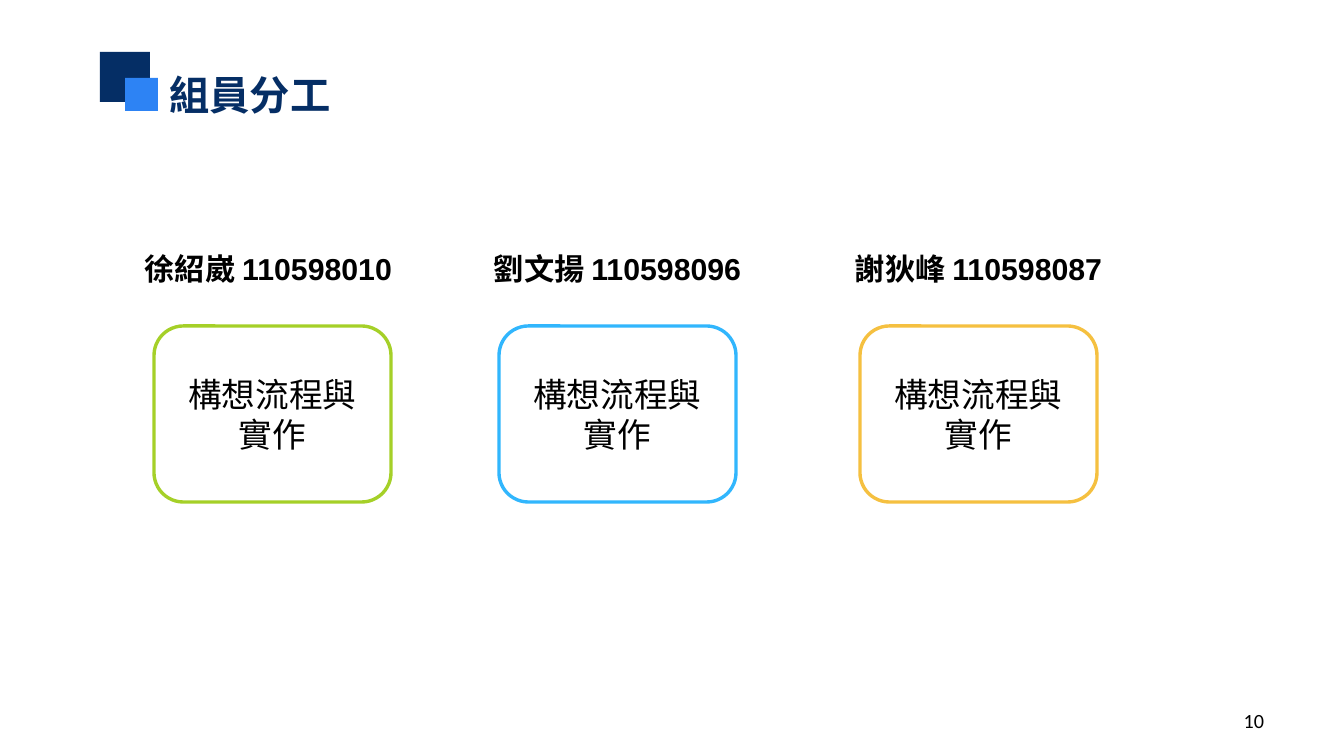
from lxml import etree
from pptx import Presentation
from pptx.dml.color import RGBColor
from pptx.enum.shapes import MSO_SHAPE
from pptx.enum.text import MSO_ANCHOR, MSO_AUTO_SIZE, PP_ALIGN
from pptx.oxml.ns import qn
from pptx.util import Pt

RECTANGLE, ROUNDED = MSO_SHAPE.RECTANGLE, MSO_SHAPE.ROUNDED_RECTANGLE
TOP, MIDDLE = MSO_ANCHOR.TOP, MSO_ANCHOR.MIDDLE
LEFT, CENTER, RIGHT = PP_ALIGN.LEFT, PP_ALIGN.CENTER, PP_ALIGN.RIGHT
FIXED = MSO_AUTO_SIZE.NONE
CJK_FONT = "Noto Sans CJK SC"
NAVY, BLUE, BLACK, WHITE = "052E65", "2D83F4", "000000", "FFFFFF"
TITLE_ONLY = 5
MEMBERS = [
    (100, "徐紹崴 110598010 ", "A5D028"),
    (445, "劉文揚 110598096", "31B6FD"),
    (806, "謝狄峰 110598087", "F5C040"),
]


def px(length):
    return round(length * 914400 / 121)


def color(hex_code):
    return RGBColor.from_string(hex_code)


def write(frame, text, size, font_name, ink=BLACK, bold=False,
          align=LEFT, anchor=TOP, before=0):
    frame.word_wrap = True
    frame.auto_size = FIXED
    frame.vertical_anchor = anchor
    frame.text = text
    paragraph = frame.paragraphs[0]
    paragraph.alignment = align
    paragraph.space_before = Pt(before)
    font = paragraph.font
    font.size, font.bold, font.name = Pt(size), bold, font_name
    font.color.rgb = color(ink)
    defaults = paragraph._p.pPr.find(qn("a:defRPr"))
    etree.SubElement(defaults, qn("a:ea"), typeface=CJK_FONT)


def add_panel(slide, kind, box, fill, outline=None):
    panel = slide.shapes.add_shape(kind, *map(px, box))
    panel.shadow.inherit = False
    panel.fill.solid()
    panel.fill.fore_color.rgb = color(fill)
    if outline:
        panel.line.color.rgb = color(outline)
        panel.line.width = Pt(2)
    else:
        panel.line.fill.background()
    return panel


def add_label(slide, box, text, size, font_name, **style):
    label = slide.shapes.add_textbox(*map(px, box))
    write(label.text_frame, text, size, font_name, **style)


def add_heading(slide, box, text):
    left, top, width, height = box
    title = slide.shapes.title
    title.left, title.top = px(left + 57), px(top + 12)
    title.width, title.height = px(width - 57), px(height - 12)
    write(title.text_frame, text, 24, CJK_FONT, ink=NAVY, bold=True)
    add_panel(slide, RECTANGLE, (left, top, 50, 50), NAVY)
    add_panel(slide, RECTANGLE, (left + 25, top + 26, 33, 33), BLUE)


def add_member(slide, box, name, task, accent):
    left, top, width, height = box
    add_label(slide, (left, top, width, 48), name, 18, "Arial",
              bold=True, align=CENTER, before=6)
    card = add_panel(slide, ROUNDED, (left + 54, top + 82, width - 108, height - 82),
                     WHITE, accent)
    write(card.text_frame, task, 20, "Calibri",
          align=CENTER, anchor=MIDDLE, before=6)


def main():
    deck = Presentation()
    deck.slide_width, deck.slide_height = px(1344), px(756)
    slide = deck.slides.add_slide(deck.slide_layouts[TITLE_ONLY])
    add_heading(slide, (100, 52, 704, 73), "組員分工")
    for left, name, accent in MEMBERS:
        add_member(slide, (left, 244, 345, 258), name, "構想流程與實作", accent)
    add_label(slide, (963, 701, 313, 40), "10", 12, "Calibri",
              align=RIGHT, anchor=MIDDLE)
    deck.save("out.pptx")


if __name__ == "__main__":
    main()
